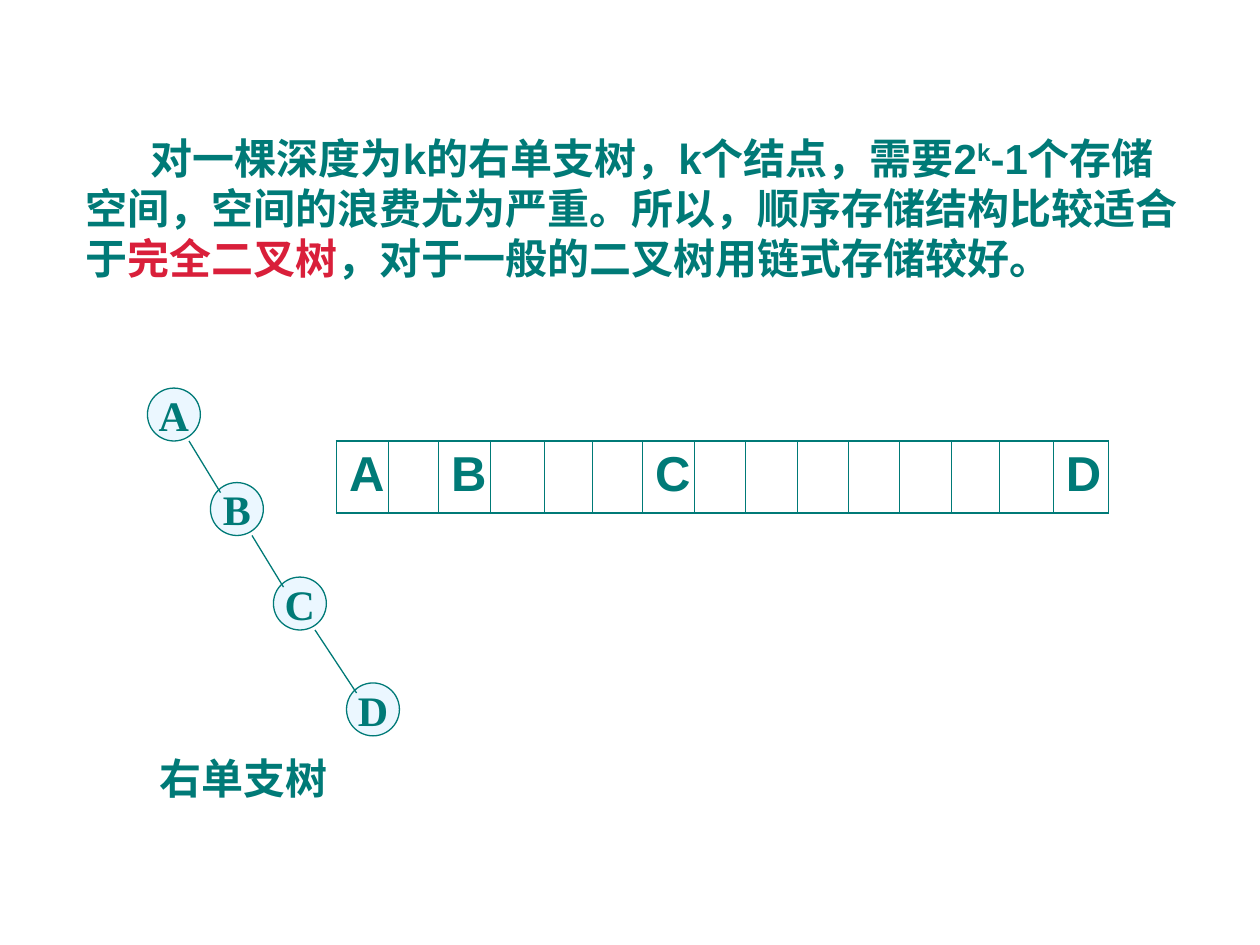
import pptx
import pptx.util
import pptx.dml.color
import pptx.enum.shapes
import pptx.enum.text
import pptx.oxml
import pptx.oxml.ns
from pptx.util import Inches

TEAL = pptx.dml.color.RGBColor(0x00, 0x7A, 0x77)
RED = pptx.dml.color.RGBColor(0xD9, 0x1F, 0x3A)
PALE_BLUE = pptx.dml.color.RGBColor(0xEB, 0xF7, 0xFF)

NODE_SIZE = 0.42
# Node offsets from the corner of the tree
NODES = [("A", 0, 0), ("B", 0.5, 0.75), ("C", 1, 1.5), ("D", 1.58, 2.34)]
COLUMN_WIDTHS = [0.41, 0.4, 0.41, 0.43, 0.38, 0.4, 0.41, 0.41,
                 0.41, 0.4, 0.41, 0.41, 0.38, 0.43, 0.44]
STORED = {0: "A", 2: "B", 6: "C", 14: "D"}


def set_font(p, name, size):
    p.font.name = name
    p.font.size = pptx.util.Pt(size)
    p.font.bold = True
    p.font.color.rgb = TEAL


def add_text_box(s, left, top, width, height, font):
    box = s.shapes.add_textbox(Inches(left), Inches(top), Inches(width), Inches(height))
    tf = box.text_frame
    tf.word_wrap = True
    p = tf.paragraphs[0]
    set_font(p, font, 24)
    return p


def add_explanation(s, left, top, width, height):
    p = add_text_box(s, left, top, width, height, "Arial")
    p._p.get_or_add_pPr().set("indent", str(Inches(0.52)))
    p.add_run().text = "对一棵深度为k的右单支树，k个结点，需要2"
    r = p.add_run()
    r.text = "k"
    r._r.get_or_add_rPr().set("baseline", "30000")
    p.add_run().text = "-1个存储空间，空间的浪费尤为严重。所以，顺序存储结构比较适合于"
    r = p.add_run()
    r.text = "完全二叉树"
    r.font.color.rgb = RED
    p.add_run().text = "，对于一般的二叉树用链式存储较好。"


def add_node(s, label, left, top):
    node = s.shapes.add_shape(pptx.enum.shapes.MSO_SHAPE.OVAL, Inches(left), Inches(top),
                              Inches(NODE_SIZE), Inches(NODE_SIZE))
    node.shadow.inherit = False
    node.fill.solid()
    node.fill.fore_color.rgb = PALE_BLUE
    node.line.color.rgb = TEAL
    node.line.width = pptx.util.Pt(0.75)
    tf = node.text_frame
    tf.word_wrap = False
    tf.vertical_anchor = pptx.enum.text.MSO_ANCHOR.MIDDLE
    p = tf.paragraphs[0]
    p.text = label
    p.alignment = pptx.enum.text.PP_ALIGN.CENTER
    set_font(p, "Times New Roman", 24)


def add_edge(s, x1, y1, x2, y2):
    edge = s.shapes.add_connector(pptx.enum.shapes.MSO_CONNECTOR.STRAIGHT,
                                  Inches(x1), Inches(y1), Inches(x2), Inches(y2))
    edge.line.color.rgb = TEAL
    edge.line.width = pptx.util.Pt(0.75)
    pptx.oxml.ns.qn("a:effectLst")
    edge._element.spPr.append(pptx.oxml.parse_xml(
        f'<a:effectLst {pptx.oxml.ns.nsdecls("a")}/>'))


def add_tree(s, left, top):
    for label, x, y in NODES:
        add_node(s, label, left + x, top + y)
    # Each edge leaves the lower right of a parent for the upper left of its child
    for (_, x1, y1), (_, x2, y2) in zip(NODES, NODES[1:]):
        add_edge(s, left + x1 + 0.33, top + y1 + NODE_SIZE,
                 left + x2 + 0.08, top + y2 + 0.08)


def set_borders(cell, widths):
    tcPr = cell._tc.get_or_add_tcPr()
    for i, (side, width) in enumerate(zip("LRTB", widths)):
        tcPr.insert(i, pptx.oxml.parse_xml(
            f'<a:ln{side} {pptx.oxml.ns.nsdecls("a")} w="{pptx.util.Pt(width)}">'
            f'<a:solidFill><a:srgbClr val="{TEAL}"/></a:solidFill></a:ln{side}>'))


def add_storage_array(s, left, top, height):
    count = len(COLUMN_WIDTHS)
    table = s.shapes.add_table(1, count, Inches(left), Inches(top),
                               Inches(sum(COLUMN_WIDTHS)), Inches(height)).table
    table.first_row = False
    table.horz_banding = False
    thin, thick = 0.45, 1.08
    for i, width in enumerate(COLUMN_WIDTHS):
        table.columns[i].width = Inches(width)
        cell = table.cell(0, i)
        cell.fill.background()
        set_borders(cell, (thick if i == 0 else thin,
                           thick if i == count - 1 else thin, thick, thick))
        p = cell.text_frame.paragraphs[0]
        p.text = STORED.get(i, "")
        set_font(p, "Arial", 28)


def add_caption(s, left, top, width, height):
    p = add_text_box(s, left, top, width, height, "Times New Roman")
    p.add_run().text = "右单支树"


def main():
    prs = pptx.Presentation()
    prs.slide_width, prs.slide_height = Inches(10), Inches(7.5)
    s = prs.slides.add_slide(prs.slide_layouts[6])
    add_explanation(s, 0.58, 1, 9, 1.3)
    add_tree(s, 1.17, 3.08)
    add_storage_array(s, 2.67, 3.5, 0.57)
    add_caption(s, 1.17, 5.92, 1.58, 0.5)
    prs.save("out.pptx")


if __name__ == "__main__":
    main()
